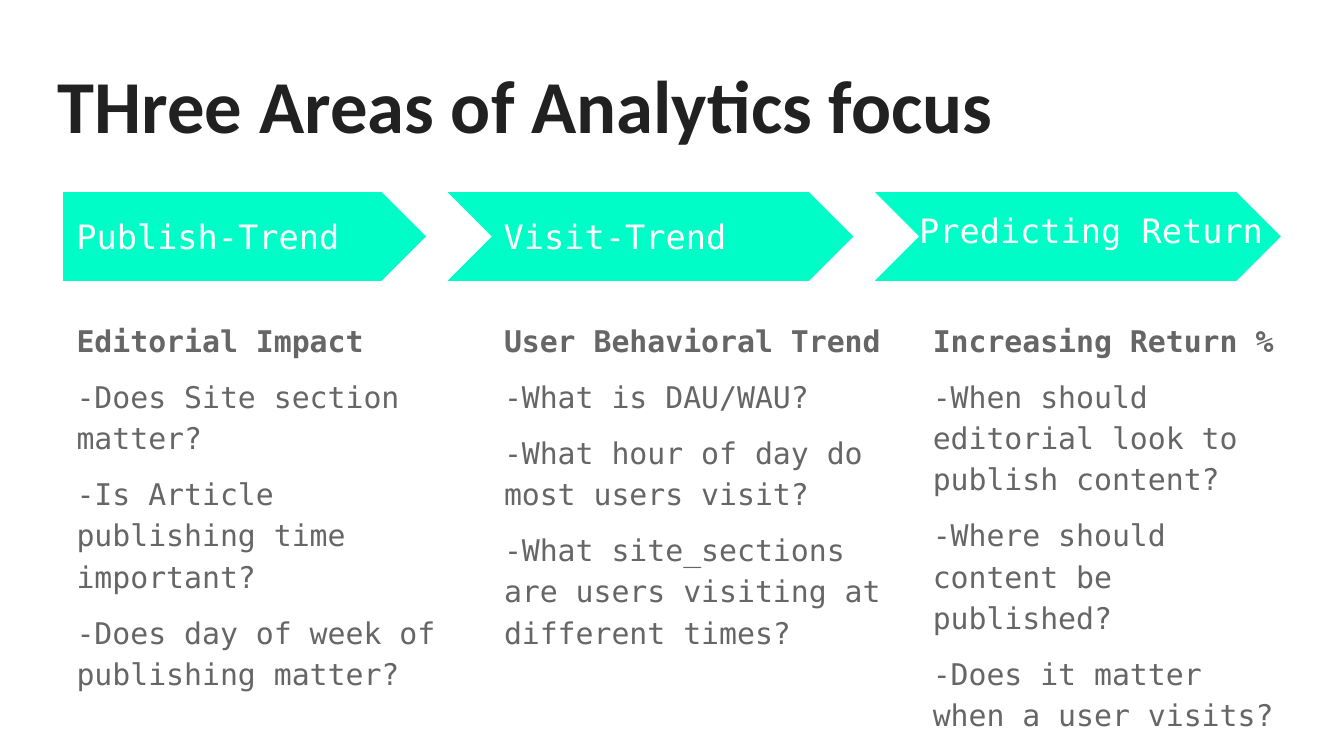
from dataclasses import dataclass

from lxml import etree
from pptx import Presentation
from pptx.dml.color import RGBColor
from pptx.enum.shapes import MSO_SHAPE
from pptx.enum.text import MSO_ANCHOR, MSO_AUTO_SIZE, PP_ALIGN
from pptx.oxml.ns import qn
from pptx.util import Inches, Pt

PENTAGON, CHEVRON = MSO_SHAPE.PENTAGON, MSO_SHAPE.CHEVRON
TOP, MIDDLE = MSO_ANCHOR.TOP, MSO_ANCHOR.MIDDLE
LEFT, NO_AUTOFIT = PP_ALIGN.LEFT, MSO_AUTO_SIZE.NONE


@dataclass(frozen=True)
class Theme:
    title_font: str = "Calibri"
    body_font: str = "DejaVu Sans Mono"
    title_color: str = "212121"
    body_color: str = "666666"
    label_color: str = "FFFFFF"
    arrow_color: str = "00FDC8"
    title_size: int = 40
    label_size: int = 18
    body_size: int = 16


theme = Theme()


def place(shape, box, anchor):
    shape.left, shape.top, shape.width, shape.height = map(Inches, box)
    frame = shape.text_frame
    frame_format = {"word_wrap": True, "auto_size": NO_AUTOFIT, "vertical_anchor": anchor}
    for side in ("left", "top", "right", "bottom"):
        frame_format[f"margin_{side}"] = Inches(0.1)
    for name, value in frame_format.items():
        setattr(frame, name, value)
    return frame


def write(paragraph, text, font, size, color, bold=False, line=1.0, before=0, after=0):
    paragraph_format = {
        "alignment": LEFT,
        "line_spacing": line,
        "space_before": Pt(before),
        "space_after": Pt(after),
    }
    for name, value in paragraph_format.items():
        setattr(paragraph, name, value)
    run = paragraph.add_run()
    run.text = text
    for name, value in {"name": font, "size": Pt(size), "bold": bold}.items():
        setattr(run.font, name, value)
    run.font.color.rgb = RGBColor.from_string(color)


columns = [
    {
        "arrow": (PENTAGON, 0.47, 2.7),
        "label": ("Publish-Trend", (0.47, 1.59, 2.47, 0.34)),
        "list_box": (0.47, 2.26, 2.95, 2.9),
        "lines": [
            "Editorial Impact",
            "-Does Site section matter?",
            "-Is Article publishing time important?",
            "-Does day of week of publishing matter?",
        ],
    },
    {
        "arrow": (CHEVRON, 3.33, 3.02),
        "label": ("Visit-Trend", (3.65, 1.59, 2.47, 0.34)),
        "list_box": (3.65, 2.26, 3.02, 2.9),
        "lines": [
            "User Behavioral Trend",
            "-What is DAU/WAU?",
            "-What hour of day do most users visit?",
            "-What site_sections are users visiting at different times?",
        ],
    },
    {
        "arrow": (CHEVRON, 6.51, 3.02),
        "label": ("Predicting Return", (6.74, 1.54, 2.95, 0.34)),
        "list_box": (6.84, 2.26, 2.84, 3.28),
        "lines": [
            "Increasing Return %",
            "-When should editorial look to publish content?",
            "-Where should content be published?",
            "-Does it matter when a user visits?",
        ],
    },
]

presentation = Presentation()
presentation.slide_width = Inches(10)
presentation.slide_height = presentation.slide_width * 9 // 16
slide = presentation.slides.add_slide(presentation.slide_layouts[4])
title, *bodies = slide.placeholders

title_frame = place(title, (0.33, 0.34, 9.34, 0.82), TOP)
write(title_frame.paragraphs[0], "THree Areas of Analytics focus",
      theme.title_font, theme.title_size, theme.title_color, bold=True)

for column, body in zip(columns, bodies):
    arrow_kind, left, width = column["arrow"]
    arrow = slide.shapes.add_shape(
        arrow_kind, Inches(left), Inches(1.43), Inches(width), Inches(0.66))
    arrow.adjustments[0] = 0.5
    arrow.shadow.inherit = False
    arrow.fill.solid()
    arrow.fill.fore_color.rgb = RGBColor.from_string(theme.arrow_color)
    arrow.line.fill.background()

    label_text, label_box = column["label"]
    label = slide.shapes.add_textbox(*map(Inches, label_box))
    label_frame = place(label, label_box, MIDDLE)
    write(label_frame.paragraphs[0], label_text,
          theme.body_font, theme.label_size, theme.label_color)

    body_frame = place(body, column["list_box"], TOP)
    last = len(column["lines"]) - 1
    for index, text in enumerate(column["lines"]):
        paragraph = body_frame.add_paragraph() if index else body_frame.paragraphs[0]
        write(paragraph, text, theme.body_font, theme.body_size, theme.body_color,
              bold=index == 0, line=1.15, before=8 if index else 0,
              after=8 if index == last else 0)
        properties = paragraph._p.get_or_add_pPr()
        properties.set("marL", "0")
        properties.set("indent", "0")
        etree.SubElement(properties, qn("a:buNone"))

for unused in bodies[len(columns):]:
    unused.element.getparent().remove(unused.element)

presentation.save("out.pptx")
